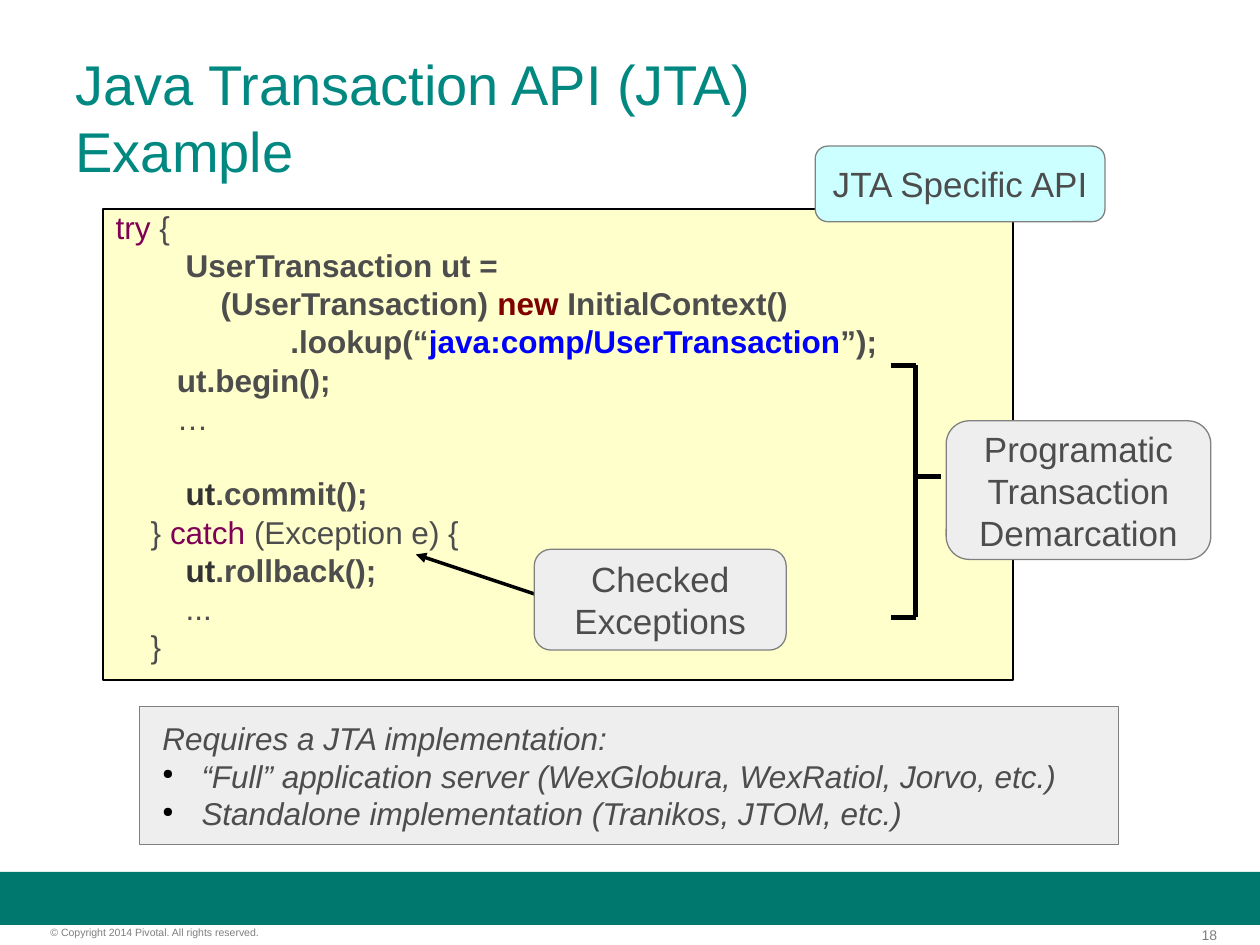
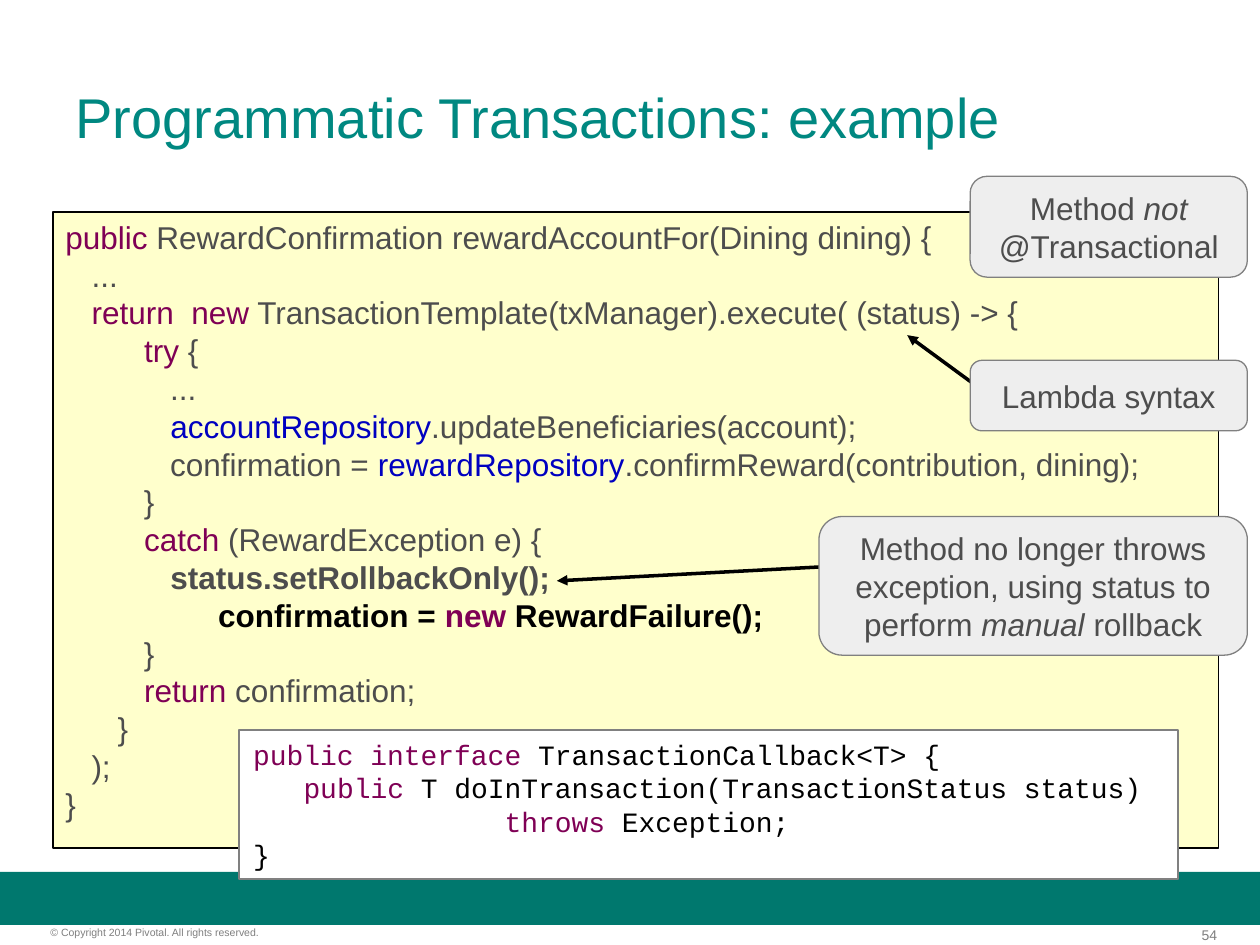
from pptx import Presentation
from pptx import util as u
from pptx.dml.color import RGBColor
from pptx.enum import shapes, text
from pptx.oxml import ns, xmlchemy

# Shared palette and run styles
TEAL, BAND, INK, GREY = "008881", "00786E", "4D4D4D", "808080"
BLACK, WHITE, CREAM, PALE, CYAN = "000000", "FFFFFF", "FFFFCC", "EEEEEE", "CCFFFF"
PLUM = "7F0055"
STYLES = {
    "plain": {},
    "keyword": {"color": PLUM},
    "field": {"color": "0000C0"},
    "bold": {"bold": True},
    "bold dark": {"bold": True, "color": "333333"},
    "bold black": {"bold": True, "color": BLACK},
    "bold keyword": {"bold": True, "color": PLUM},
    "bold new": {"bold": True, "color": "800000"},
    "bold string": {"bold": True, "color": "0000FF"},
    "italic": {"italic": True},
}


def rgb(value):
    return RGBColor.from_string(value)


def set_font(font, color=INK, **values):
    font.color.rgb = rgb(color)
    for name, value in values.items():
        setattr(font, name, value)


def add_lines(frame, lines, size, color=INK, font="Arial", **paragraph_format):
    """Each line is a list of plain strings and (text, style) pairs."""
    for index, line in enumerate(lines):
        paragraph = frame.paragraphs[0] if index == 0 else frame.add_paragraph()
        for name, value in paragraph_format.items():
            if index or name != "space_before":
                setattr(paragraph, name, value)
        for part in line:
            words, style = (part, "plain") if isinstance(part, str) else part
            run = paragraph.add_run()
            run.text = words
            set_font(run.font, **{"color": color, "name": font,
                                  "size": u.Pt(size), **STYLES[style]})


def set_frame(frame, anchor="TOP", wrap=True, insets=(0.1, 0.05, 0.1, 0.05)):
    values = {"word_wrap": wrap, "auto_size": text.MSO_AUTO_SIZE.NONE,
              "vertical_anchor": text.MSO_ANCHOR[anchor]}
    for side, inset in zip(("left", "top", "right", "bottom"), insets):
        values["margin_" + side] = u.Inches(inset)
    for name, value in values.items():
        setattr(frame, name, value)


def add_box(slide, place, fill, line=None, width=0, kind="RECTANGLE"):
    shape = slide.shapes.add_shape(shapes.MSO_SHAPE[kind], *map(u.Inches, place))
    shape.shadow.inherit = False
    shape.fill.solid()
    shape.fill.fore_color.rgb = rgb(fill)
    if line:
        shape.line.color.rgb = rgb(line)
        shape.line.width = u.Pt(width)
    else:
        shape.line.fill.background()
    return shape


def add_code(slide, place, lines, **paragraph_format):
    shape = add_box(slide, place, CREAM, BLACK, 1)
    set_frame(shape.text_frame)
    add_lines(shape.text_frame, lines, 18,
              alignment=text.PP_ALIGN.LEFT, **paragraph_format)
    return shape.text_frame


def add_callout(slide, place, lines, size, fill=PALE, wrap=True):
    shape = add_box(slide, place, fill, GREY, kind="ROUNDED_RECTANGLE")
    set_frame(shape.text_frame, "MIDDLE", wrap)
    add_lines(shape.text_frame, lines, size, alignment=text.PP_ALIGN.CENTER)


def add_line(slide, start, end, width=0, arrow=False):
    connector = slide.shapes.add_connector(
        shapes.MSO_CONNECTOR.STRAIGHT, *map(u.Inches, (*start, *end)))
    connector.line.color.rgb = rgb(BLACK)
    connector.line.width = u.Pt(width)
    if arrow:
        tail = xmlchemy.OxmlElement("a:tailEnd")
        tail.set("type", "triangle")
        connector.line._get_or_add_ln().append(tail)
    connector._element.spPr.append(xmlchemy.OxmlElement("a:effectLst"))


def add_bullet(paragraph, indent):
    properties = paragraph._p.get_or_add_pPr()
    properties.set("marL", str(u.Inches(indent)))
    properties.set("indent", str(-u.Inches(indent)))
    color = xmlchemy.OxmlElement("a:buClr")
    value = xmlchemy.OxmlElement("a:srgbClr")
    value.set("val", BLACK)
    color.append(value)
    size = xmlchemy.OxmlElement("a:buSzPct")
    size.set("val", "45000")
    mark = xmlchemy.OxmlElement("a:buChar")
    mark.set("char", "●")
    for element in (color, size, mark):
        properties.append(element)


def add_footer_text(slide, place, words, size, alignment):
    box = slide.shapes.add_textbox(*map(u.Inches, place))
    set_frame(box.text_frame, insets=(0, 0, 0, 0))
    add_lines(box.text_frame, [[words]], size, "7F7F7F", alignment=alignment)


def start_slide(presentation, title, number):
    """Add a slide with the title, band and footer that all slides share."""
    slide = presentation.slides.add_slide(presentation.slide_layouts[5])
    heading = slide.shapes.title
    heading.left, heading.top, heading.width, heading.height = map(
        u.Inches, (0.5, 0.3, 9, 1.25))
    set_frame(heading.text_frame, "MIDDLE")
    heading.text_frame.text = title
    paragraph = heading.text_frame.paragraphs[0]
    paragraph.alignment = text.PP_ALIGN.LEFT
    for run in paragraph.runs:
        set_font(run.font, TEAL, name="Arial", size=u.Pt(32))

    add_box(slide, (0, 6.92, 10, 0.42), BAND)
    add_footer_text(slide, (9.31, 7.35, 0.35, 0.13), str(number), 8,
                    text.PP_ALIGN.RIGHT)
    add_footer_text(slide, (0.4, 7.35, 2.49, 0.1),
                    "© Copyright 2014 Pivotal. All rights reserved.", 6,
                    text.PP_ALIGN.LEFT)
    return slide


def build_jta_slide(presentation):
    slide = start_slide(presentation, "Java Transaction API (JTA)\vExample", 18)

    # Code listing
    code = add_code(slide, (0.82, 1.66, 7.22, 3.74), [
        [("try", "keyword"), " {"],
        [("        UserTransaction ut =", "bold")],
        [("            (UserTransaction) ", "bold"), ("new", "bold new"),
         (" InitialContext()", "bold")],
        [("                    .lookup(“", "bold"),
         ("java:comp/UserTransaction", "bold string"), ("”);", "bold")],
        [("       ut.begin();", "bold")],
        ["       …"],
        ["        ", ("ut", "bold dark"), (".commit();", "bold")],
        ["    } ", ("catch", "keyword"), " (Exception e) {"],
        ["        ", ("ut", "bold dark"), (".rollback();", "bold")],
        ["        ..."],
        ["    }"],
    ], line_spacing=0.8, space_before=u.Pt(4.5))
    code.paragraphs[6].space_before = u.Pt(26)  # gap before the commit

    # Requirements
    note = add_box(slide, (1.11, 5.61, 7.77, 1.09), PALE, GREY)
    set_frame(note.text_frame, "MIDDLE", insets=(0.18, 0.05, 0.1, 0.05))
    add_lines(note.text_frame, [
        [("Requires a JTA implementation:", "italic")],
        [("“Full” application server (WexGlobura, WexRatiol, Jorvo, etc.)",
          "italic")],
        [("Standalone implementation (Tranikos, JTOM, etc.)", "italic")],
    ], 18, alignment=text.PP_ALIGN.LEFT)
    for paragraph in note.text_frame.paragraphs[1:]:
        add_bullet(paragraph, 0.31)

    # Bracket and callouts
    left, spine, right = 7.07, 7.27, 7.47
    top, middle, bottom = 2.9, 3.78, 4.9
    for start, end in (((left, top), (spine, top)),
                       ((left, bottom), (spine, bottom)),
                       ((spine, top), (spine, bottom)),
                       ((spine, middle), (right, middle))):
        add_line(slide, start, end, 2.83)
    add_line(slide, (4.5, 4.8), (3.3, 4.4), arrow=True)
    for place, lines, fill in (
            ((7.51, 3.34, 2.1, 1.1),
             [["Programatic"], ["Transaction"], ["Demarcation"]], PALE),
            ((6.47, 1.16, 2.3, 0.6), [["JTA Specific API"]], CYAN),
            ((4.24, 4.36, 2, 0.8), [["Checked"], ["Exceptions"]], PALE)):
        add_callout(slide, place, lines, 20, fill, wrap=False)


def build_programmatic_slide(presentation):
    slide = start_slide(presentation, "Programmatic Transactions: example", 54)

    # Code listing
    code = add_code(slide, (0.42, 1.68, 9.25, 5.05), [
        [("public", "keyword"),
         " RewardConfirmation rewardAccountFor(Dining dining) {"],
        ["   ..."],
        ["   ", ("return  new", "keyword"),
         " TransactionTemplate(txManager).execute( (status) -> {"],
        ["         ", ("try", "keyword"), " {"],
        ["            ..."],
        ["            ", ("accountRepository", "field"),
         ".updateBeneficiaries(account);"],
        ["            confirmation = ", ("rewardRepository", "field"),
         ".confirmReward(contribution, dining);"],
        ["         }"],
        ["         ", ("catch", "keyword"), " (RewardException e) {"],
        ["            ", ("status.setRollbackOnly();", "bold")],
        [("            confirmation = ", "bold black"), ("new ", "bold keyword"),
         ("RewardFailure();", "bold black")],
        ["         }"],
        ["         ", ("return", "keyword"), " confirmation;"],
        ["      }"],
        ["   );"],
        ["}"],
    ])
    code.paragraphs[10]._p.get_or_add_pPr().set("marL", str(u.Inches(0.38)))

    # Callback interface
    callback = add_box(slide, (1.9, 5.79, 7.45, 1.19), WHITE, GREY, 1.13)
    set_frame(callback.text_frame, insets=(0.11, 0.06, 0.11, 0.06))
    add_lines(callback.text_frame, [
        [("public interface", "keyword"), " TransactionCallback<T> {"],
        ["   ", ("public", "keyword"),
         " T doInTransaction(TransactionStatus status)"],
        ["               ", ("throws", "keyword"), " Exception;"],
        ["}"],
    ], 16, BLACK, "Courier New", alignment=text.PP_ALIGN.LEFT)

    # Arrows and callouts
    add_line(slide, (6.5, 4.5), (4.42, 4.61), arrow=True)
    add_line(slide, (7.8, 3.1), (7.2, 2.66), arrow=True)
    for place, lines in (
            ((7.7, 1.4, 2.2, 0.8),
             [["Method ", ("not", "italic")], ["@Transactional"]]),
            ((7.7, 2.86, 2.2, 0.56), [["Lambda syntax"]]),
            ((6.5, 4.1, 3.4, 1.1),
             [["Method no longer throws exception, using status to perform ",
               ("manual", "italic"), " rollback"]])):
        add_callout(slide, place, lines, 18)


def main():
    presentation = Presentation()
    presentation.slide_width = u.Inches(10)
    presentation.slide_height = u.Inches(7.5)
    build_jta_slide(presentation)
    build_programmatic_slide(presentation)
    presentation.save("out.pptx")


if __name__ == "__main__":
    main()
